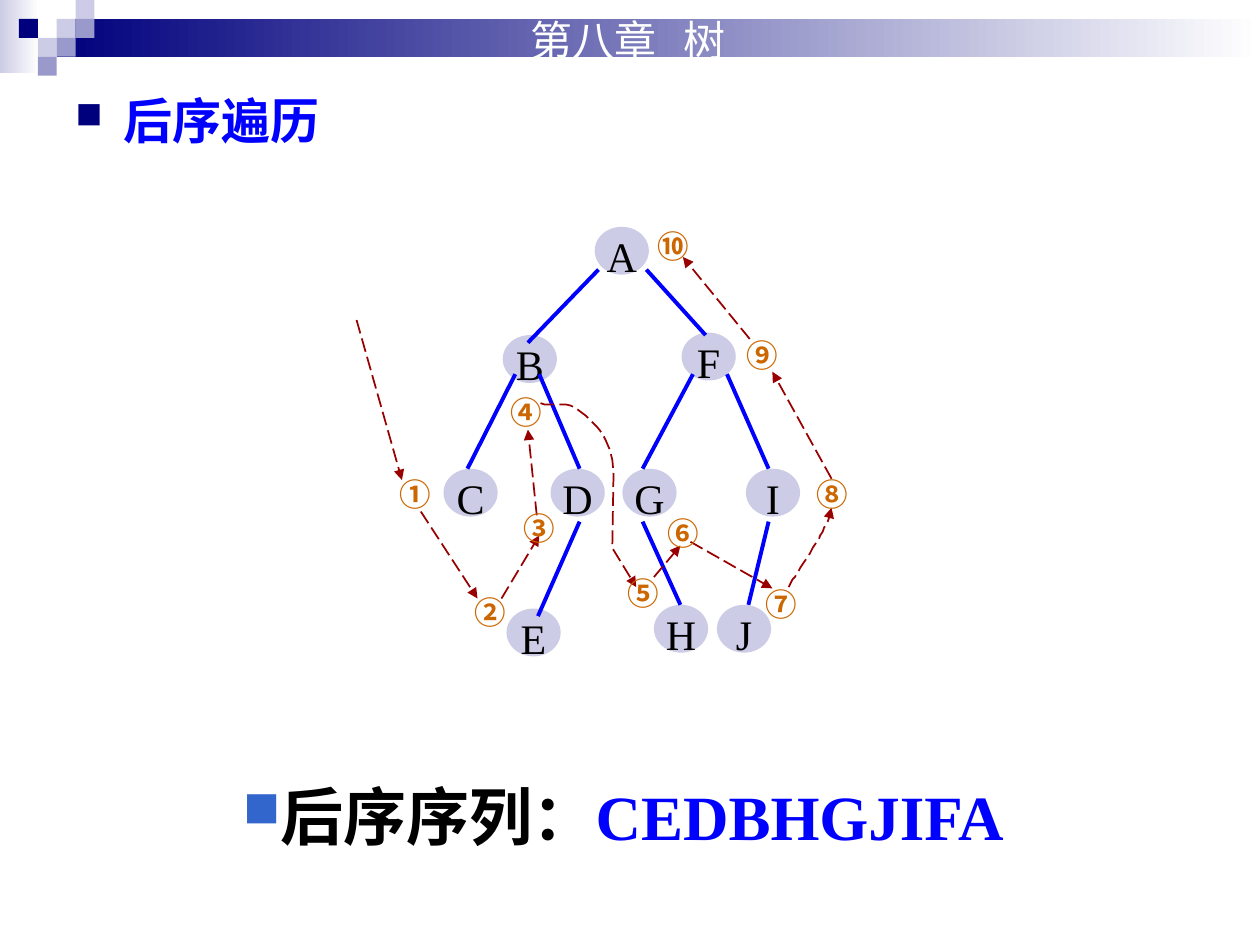
from lxml import etree
from pptx import Presentation
from pptx.dml.color import RGBColor
from pptx.enum.dml import MSO_LINE
from pptx.enum.shapes import MSO_CONNECTOR, MSO_SHAPE
from pptx.enum.text import MSO_ANCHOR, PP_ALIGN
from pptx.oxml.ns import qn
from pptx.util import Inches, Pt

RECT, OVAL = MSO_SHAPE.RECTANGLE, MSO_SHAPE.OVAL
STRAIGHT, DASH = MSO_CONNECTOR.STRAIGHT, MSO_LINE.LONG_DASH
MIDDLE, CENTER = MSO_ANCHOR.MIDDLE, PP_ALIGN.CENTER
CJK = "Noto Sans CJK SC"
rgb = RGBColor.from_string

prs = Presentation()
prs.slide_width, prs.slide_height = Inches(10), Inches(7.5)
s = prs.slides.add_slide(prs.slide_layouts[6])
U = prs.slide_width // 1000


def add_run(p, text, color, **font):
    r = p.add_run()
    r.text = text
    for key, value in font.items():
        setattr(r.font, key, value)
    r.font.color.rgb = rgb(color)
    etree.SubElement(r.font._element, qn("a:ea")).set("typeface", CJK)


def style_line(sp, color, width, arrow=False):
    sp.line.color.rgb = rgb(color)
    sp.line.width = Pt(width)
    props = sp._element.spPr
    if arrow:
        sp.line.dash_style = DASH
        etree.SubElement(props.find(qn("a:ln")), qn("a:tailEnd")).set("type", "triangle")
    if props.find(qn("a:effectLst")) is None:
        etree.SubElement(props, qn("a:effectLst"))


header = [
    (0, 0, 31, 58, ["CCCCE6", "FFFFFF"]),
    (45, 15, 955, 30, ["00007D", "FFFFFF"]),
]
tiles = [
    (3, 1, "CCCCE6"), (4, 0, "CCCCE6"), (4, 1, "9999CC"), (2, 2, "CCCCE6"),
    (1, 1, "00007D"), (3, 2, "9999CC"), (2, 3, "9999CC"),
]
header += [(15 * col, 15 * row, 15, 15, [color]) for col, row, color in tiles]
for x, y, w, h, colors in header:
    sp = s.shapes.add_shape(RECT, x * U, y * U, w * U, h * U)
    sp.shadow.inherit = False
    sp.line.fill.background()
    if len(colors) == 2:
        sp.fill.gradient()
        sp.fill.gradient_angle = 0
        for stop, position, color in zip(sp.fill.gradient_stops, (0, 1), colors):
            stop.position = position
            stop.color.rgb = rgb(color)
    else:
        sp.fill.solid()
        sp.fill.fore_color.rgb = rgb(colors[0])

nodes = {
    "A": (472, 180), "B": (399, 266), "F": (541, 264),
    "C": (352, 372), "D": (437, 372), "G": (494, 372), "I": (592, 372),
    "E": (402, 483), "H": (519, 480), "J": (569, 480),
}
for name, (x, y) in nodes.items():
    sp = s.shapes.add_shape(OVAL, x * U, y * U, 43 * U, 38 * U)
    sp.shadow.inherit = False
    sp.fill.solid()
    sp.fill.fore_color.rgb = rgb("CCCCE6")
    sp.line.fill.background()
    tf = sp.text_frame
    tf.word_wrap = False
    tf.vertical_anchor = MIDDLE
    p = tf.paragraphs[0]
    p.alignment = CENTER
    p.line_spacing = 1.2
    add_run(p, name, "000000", size=Pt(24), name="Times New Roman")

edges = [
    (475, 214, 419, 272), (513, 214, 560, 266), (409, 297, 371, 372),
    (428, 297, 460, 372), (550, 297, 510, 372), (577, 297, 610, 372),
    (460, 414, 427, 489), (510, 414, 540, 480), (610, 414, 594, 480),
]
arrows = [
    (283, 254, 319, 381), (334, 406, 379, 475), (398, 475, 428, 425),
    (426, 409, 419, 341), (519, 458, 540, 433), (548, 430, 613, 467),
    (660, 380, 613, 295), (595, 269, 542, 204),
]
for ends, fmt in [(e, ("0000FF", 2.25)) for e in edges] + [(a, ("990000", 1, True)) for a in arrows]:
    style_line(s.shapes.add_connector(STRAIGHT, *[v * U for v in ends]), *fmt)

curves = [
    [(429, 320), [(435, 322), (452, 318), (461, 327)],
     [(471, 336), (487, 347), (487, 375)], [(486, 435)], [(505, 466)]],
    [(626, 466), [(628, 462), (633, 455), (637, 448)],
     [(642, 441), (649, 430), (653, 422)], [(657, 415), (659, 406), (660, 403)]],
]
for start, *segments in curves:
    points = [start]
    for seg in segments:
        if len(seg) == 1:
            points += seg
            continue
        controls = [points[-1], *seg]
        for t in (k / 8 for k in range(1, 9)):
            weights = ((1 - t) ** 3, 3 * t * (1 - t) ** 2, 3 * t * t * (1 - t), t ** 3)
            points.append(tuple(sum(w * c[i] for w, c in zip(weights, controls)) for i in (0, 1)))
    fb = s.shapes.build_freeform(*points[0], scale=U)
    fb.add_line_segments(points[1:], close=False)
    sp = fb.convert_to_shape()
    sp.shadow.inherit = False
    sp.fill.background()
    style_line(sp, "990000", 1, True)

steps = [
    (307, 372), (367, 466), (406, 399), (395, 307), (488, 451),
    (520, 403), (598, 459), (638, 372), (583, 262), (512, 175),
]
badge = {"size": Pt(18), "name": CJK, "bold": True}
heading = {"size": Pt(28), "name": "Arial", "bold": True}
answer = {"size": Pt(36), "name": "Times New Roman", "bold": True}
texts = [
    ((411, 7, 242, 50), None, [("第八章\t树", "FFFFFF", {"size": Pt(24), "name": CJK})]),
    ((50, 67, 900, 70), ("00007D", 75, 38), [("后序遍历", "0000FF", heading)]),
    ((183, 600, 642, 82), ("3366CC", 80, 0),
     [("后序序列：", "000000", answer), ("CEDBHGJIFA", "0000FF", answer)]),
]
texts += [((x, y, 49, 40), None, [(mark, "CC6600", badge)]) for mark, (x, y) in zip("①②③④⑤⑥⑦⑧⑨⑩", steps)]
for box, bullet, runs in texts:
    tf = s.shapes.add_textbox(*[v * U for v in box]).text_frame
    tf.word_wrap = True
    p = tf.paragraphs[0]
    pPr = p._p.get_or_add_pPr()
    if bullet:
        color, size, indent = bullet
        pPr.set("marL", str(indent * U))
        pPr.set("indent", str(-indent * U))
        clr = etree.SubElement(pPr, qn("a:buClr"))
        etree.SubElement(clr, qn("a:srgbClr")).set("val", color)
        etree.SubElement(pPr, qn("a:buSzPct")).set("val", str(size * 1000))
        etree.SubElement(pPr, qn("a:buChar")).set("char", "■")
        p.line_spacing = 1.0 if indent else 1.2
    if "\t" in runs[0][0]:
        tab = etree.SubElement(etree.SubElement(pPr, qn("a:tabLst")), qn("a:tab"))
        tab.set("pos", str(122 * U))
        tab.set("algn", "l")
    for text, color, font in runs:
        add_run(p, text, color, **font)

prs.save("out.pptx")
